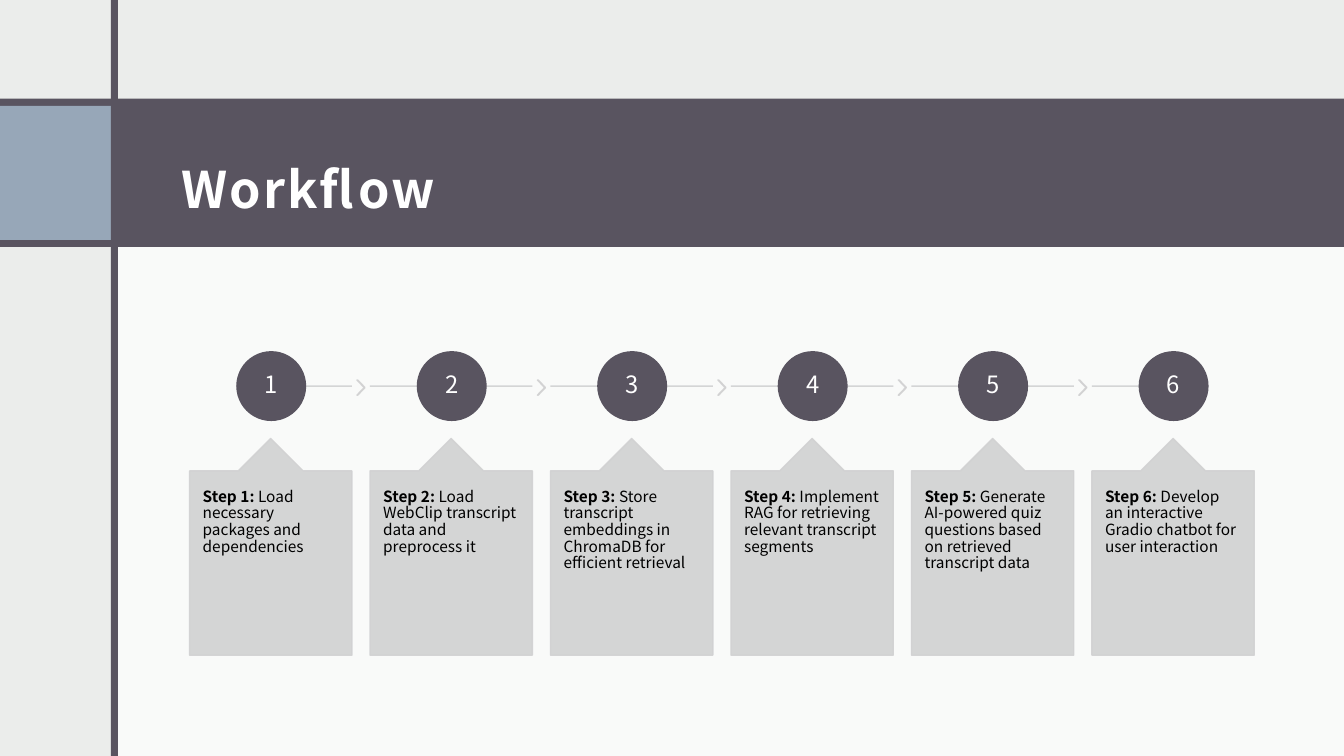
import pptx
import pptx.dml.color
import pptx.enum.shapes
import pptx.enum.text
import pptx.oxml
import pptx.oxml.ns
import pptx.util
from lxml import etree

Inches = pptx.util.Inches
Pt = pptx.util.Pt
Shape = pptx.enum.shapes.MSO_SHAPE
Anchor = pptx.enum.text.MSO_ANCHOR
Align = pptx.enum.text.PP_ALIGN

SLATE, STEEL, MIST, GREY = "595460", "97A7B8", "EBEDEB", "D1D1D2"
WHITE, BLACK = "FFFFFF", "000000"


def paint(color_format, color, alpha=100):
    color_format.rgb = pptx.dml.color.RGBColor.from_string(color)
    if alpha < 100:
        tint = color_format._xFill.find(".//" + pptx.oxml.ns.qn("a:srgbClr"))
        etree.SubElement(tint, pptx.oxml.ns.qn("a:alpha"), val=str(alpha * 1000))


def apply(target, values):
    for key, value in values.items():
        setattr(target, key, value)


class WorkflowSlide:
    font_name = "Noto Sans CJK JP"

    def __init__(self, slide):
        self.slide = slide
        self.shapes = slide.shapes

    def background(self, color):
        fill = self.slide.background.fill
        fill.solid()
        paint(fill.fore_color, color)

    def shape(self, kind, box, color, alpha=100, outlined=False, adjustments=()):
        shape = self.shapes.add_shape(kind, *map(Inches, box))
        shape.shadow.inherit = False
        for index, value in enumerate(adjustments):
            shape.adjustments[index] = value
        shape.fill.solid()
        paint(shape.fill.fore_color, color, alpha)
        if outlined:
            shape.line.width = Pt(1)
            shape.line.fill.solid()
            paint(shape.line.color, color, alpha)
        else:
            shape.line.fill.background()
        return shape

    def line(self, start, end, y, color, alpha):
        line = self.shapes.add_connector(
            pptx.enum.shapes.MSO_CONNECTOR.STRAIGHT,
            Inches(start), Inches(y), Inches(end), Inches(y))
        line.line.width = Pt(1)
        line.line.fill.solid()
        paint(line.line.color, color, alpha)
        etree.SubElement(line._element.spPr, pptx.oxml.ns.qn("a:effectLst"))

    def text(self, frame, runs, size, color, insets, anchor, align, spacing):
        margins = ("margin_left", "margin_top", "margin_right", "margin_bottom")
        apply(frame, dict(zip(margins, map(Inches, insets))))
        apply(frame, {"word_wrap": True, "vertical_anchor": anchor,
                      "auto_size": pptx.enum.text.MSO_AUTO_SIZE.NONE})
        paragraph = frame.paragraphs[0]
        apply(paragraph, {"alignment": align, "line_spacing": spacing})
        for words, bold in runs:
            run = paragraph.add_run()
            run.text = words
            apply(run.font, {"name": self.font_name, "size": Pt(size), "bold": bold})
            paint(run.font.color, color)
        return paragraph

    def title(self, words, box):
        title = self.shapes.title
        apply(title, dict(zip(("left", "top", "width", "height"), map(Inches, box))))
        paragraph = self.text(title.text_frame, [(words, True)], 36, WHITE,
                              (0.12, 0.12, 0.12, 0.1), Anchor.MIDDLE, Align.LEFT, 1.5)
        paragraph.runs[0].font._element.set("spc", "150")
        self.shapes._spTree.append(title._element)

    def number(self, number, left):
        circle = self.shape(Shape.OVAL, (left, 3.49, 0.68, 0.68), SLATE, outlined=True)
        self.text(circle.text_frame, [(str(number), False)], 17, WHITE,
                  (0.03,) * 4, Anchor.MIDDLE, Align.CENTER, 0.9)

    def callout(self, heading, words, left, width):
        self.shape(Shape.UP_ARROW_CALLOUT, (left, 4.35, width, 2.15), GREY, 90,
                   outlined=True, adjustments=(0.5, 0.2, 0.2, 1))
        box = self.shapes.add_textbox(*map(Inches, (left, 4.67, width, 1.83)))
        self.text(box.text_frame, [(heading, True), (" " + words, False)], 11, BLACK,
                  (0.13, 0.18, 0.13, 0.18), Anchor.TOP, Align.LEFT, 0.9)


STEPS = [
    "Load necessary packages and dependencies",
    "Load WebClip transcript data and preprocess it",
    "Store transcript embeddings in ChromaDB for efficient retrieval",
    "Implement RAG for retrieving relevant transcript segments",
    "Generate AI-powered quiz questions based on retrieved transcript data",
    "Develop an interactive Gradio chatbot for user interaction",
]
FIRST_LEFT, PITCH, CARD_WIDTH = 1.88, 1.79, 1.61


def main():
    deck = pptx.Presentation()
    deck.slide_width, deck.slide_height = Inches(13.33), Inches(7.5)
    workflow = WorkflowSlide(deck.slides.add_slide(deck.slide_layouts[5]))

    workflow.background(MIST)
    workflow.shape(Shape.RECTANGLE, (1.14, 2.33, 12.19, 5.17), WHITE, 75)
    workflow.shape(Shape.RECTANGLE, (0, 0.98, 13.33, 1.47), SLATE)
    workflow.title("Workflow", (1.68, 1.14, 10.95, 1.13))
    workflow.shape(Shape.RECTANGLE, (0, 1.05, 1.1, 1.33), STEEL)
    workflow.shape(Shape.RECTANGLE, (1.1, 0, 0.07, 7.5), SLATE)

    for index, words in enumerate(STEPS):
        left = FIRST_LEFT + index * PITCH
        is_first, is_last = index == 0, index == len(STEPS) - 1
        line_start = left + (0.9 if is_first else 0)
        line_end = left + (CARD_WIDTH / 2 if is_last else CARD_WIDTH)
        workflow.line(line_start, line_end, 3.83, GREY, 90)
        if not is_last:
            workflow.shape(Shape.CHEVRON, (left + 1.66, 3.77, 0.08, 0.15), GREY, 90,
                           outlined=True, adjustments=(0.9,))
        workflow.number(index + 1, left + 0.47)
        workflow.callout(f"Step {index + 1}:", words, left, CARD_WIDTH)

    deck.save("out.pptx")


if __name__ == "__main__":
    main()
